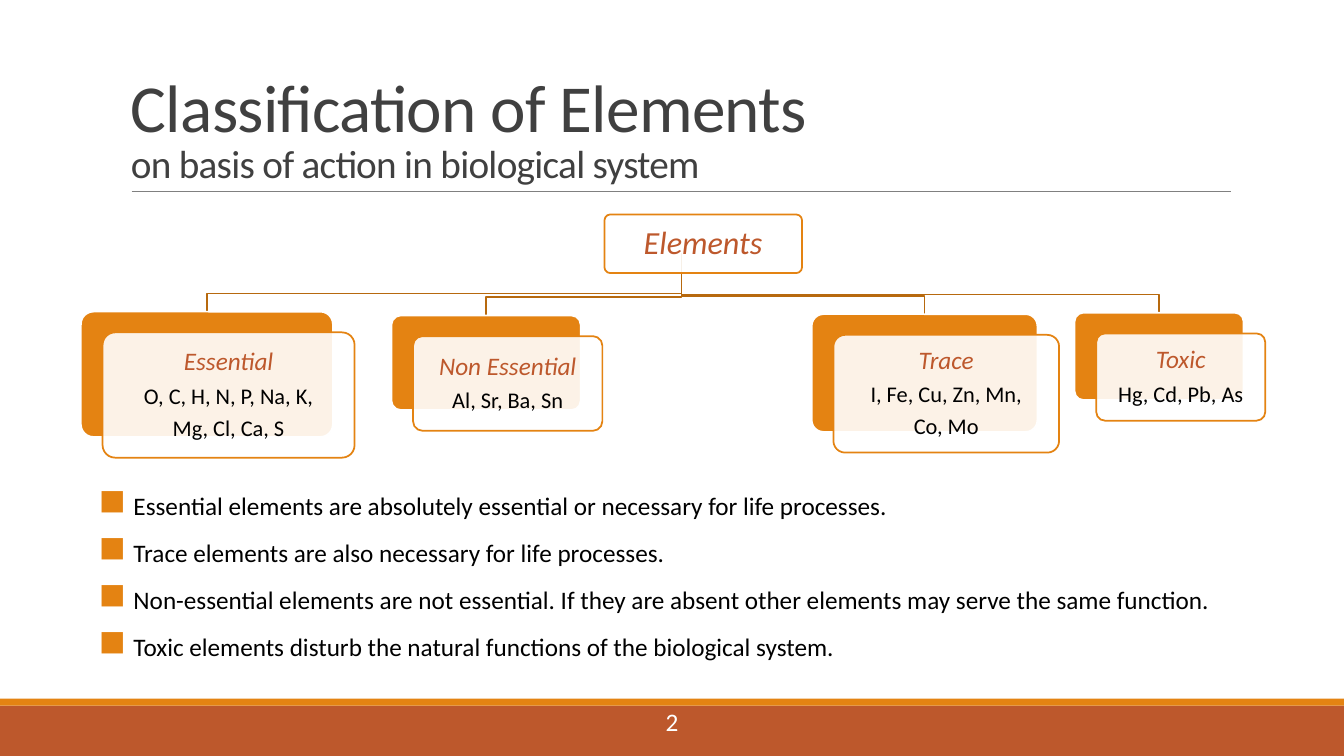
from dataclasses import dataclass
from lxml import etree
from pptx import Presentation
from pptx.dml.color import RGBColor
from pptx.enum.shapes import MSO_CONNECTOR, MSO_SHAPE
from pptx.enum.text import MSO_ANCHOR, PP_ALIGN
from pptx.oxml.ns import qn
from pptx.util import Pt

RECT, ROUND = MSO_SHAPE.RECTANGLE, MSO_SHAPE.ROUNDED_RECTANGLE
STRAIGHT = MSO_CONNECTOR.STRAIGHT
TOP, MIDDLE, BOTTOM = MSO_ANCHOR.TOP, MSO_ANCHOR.MIDDLE, MSO_ANCHOR.BOTTOM
LEFT, CENTER = PP_ALIGN.LEFT, PP_ALIGN.CENTER

COLORS = {
    "orange": "E48312", "rust": "BD582C", "branch": "B7690E", "rule": "808080",
    "title": "404040", "black": "000000", "white": "FFFFFF",
}
CARD_SHIFT = (15.5, 14.8)
ROOT = (416.3, 138.4, 141.1, 41.9)
BRANCH_DROP = 13

# left, top, width, height, inset, heading, lines of symbols
GROUPS = [
    (767.6, 223.4, 120.7, 62.3, 5, "Toxic", ["Hg, Cd, Pb, As"]),
    (579.8, 224.4, 161.2, 84.1, 5, "Trace", ["I, Fe, Cu, Zn, Mn,", "Co, Mo"]),
    (279.6, 225.3, 135.2, 67.6, 0, "Non Essential", ["Al, Sr, Ba, Sn"]),
    (57.8, 222.6, 180, 89.5, 0, "Essential",
     ["O, C, H, N, P, Na, K,", "Mg, Cl, Ca, S"]),
]
NOTES = [
    "Essential elements are absolutely essential or necessary for life processes.",
    "Trace elements are also necessary for life processes.",
    "Non-essential elements are not essential. If they are absent other elements"
    " may serve the same function.",
    "Toxic elements disturb the natural functions of the biological system.",
]


def rgb(name):
    return RGBColor.from_string(COLORS[name])


@dataclass
class Deck:
    s: object
    font: str = "Calibri"
    stroke: float = 1.25

    def shape(self, kind, box, fill=None, line=None, alpha=None):
        sp = self.s.shapes.add_shape(kind, *map(Pt, box))
        sp.shadow.inherit = False
        if kind == ROUND:
            sp.adjustments[0] = 0.1
        if fill:
            sp.fill.solid()
            sp.fill.fore_color.rgb = rgb(fill)
        else:
            sp.fill.background()
        if alpha:
            color = sp.fill._xPr.find(".//" + qn("a:srgbClr"))
            etree.SubElement(color, qn("a:alpha"), val=str(alpha * 1000))
        self.outline(sp, line)
        return sp

    def outline(self, sp, color):
        if color:
            sp.line.color.rgb = rgb(color)
            sp.line.width = Pt(self.stroke)
        else:
            sp.line.fill.background()

    def rule(self, x1, x2, y):
        line = self.s.shapes.add_connector(STRAIGHT, Pt(x1), Pt(y), Pt(x2), Pt(y))
        line.line.color.rgb = rgb("rule")
        line.line.width = Pt(0.5)
        etree.SubElement(line._element.spPr, qn("a:effectLst"))

    def branch(self, x1, y1, x2, y2):
        """Draw an elbow that bends at a fixed height above its lower end."""
        bend = y2 - BRANCH_DROP
        builder = self.s.shapes.build_freeform(Pt(x1), Pt(y1))
        builder.add_line_segments(
            [(Pt(x), Pt(y)) for x, y in ((x1, bend), (x2, bend), (x2, y2))],
            close=False)
        sp = builder.convert_to_shape()
        sp.shadow.inherit = False
        sp.fill.background()
        self.outline(sp, "branch")

    def text_box(self, box, anchor=TOP, insets=(7.2, 3.6)):
        tf = self.s.shapes.add_textbox(*map(Pt, box)).text_frame
        self.frame(tf, anchor, *insets)
        return tf

    def frame(self, tf, anchor, side, end):
        tf.word_wrap = True
        tf.vertical_anchor = anchor
        tf.margin_left = tf.margin_right = Pt(side)
        tf.margin_top = tf.margin_bottom = Pt(end)

    def paragraph(self, tf, index=0, align=LEFT, spacing=1.0, before=0, after=0):
        p = tf.add_paragraph() if index else tf.paragraphs[0]
        p.alignment = align
        p.line_spacing = spacing
        p.space_before, p.space_after = Pt(before), Pt(after)
        return p

    def run(self, p, text, size, color, italic=False):
        r = p.add_run()
        r.text = text
        r.font.name, r.font.size = self.font, Pt(size)
        r.font.italic = italic
        r.font.color.rgb = rgb(color)
        return r

    def bullet(self, p):
        pPr = p._p.get_or_add_pPr()
        pPr.set("marL", str(Pt(7.2)))
        pPr.set("indent", str(Pt(-7.2)))
        color = etree.SubElement(pPr, qn("a:buClr"))
        etree.SubElement(color, qn("a:srgbClr"), val=COLORS["orange"])
        etree.SubElement(pPr, qn("a:buFont"), typeface="Wingdings 2")
        etree.SubElement(pPr, qn("a:buChar"), char="➢")

    def card(self, box, inset, heading, size, lines=(), back=None):
        """Draw two offset boxes, the front one with a heading and its lines."""
        x, y, w, h = box
        self.shape(ROUND, box, back, "white")
        front = (x + CARD_SHIFT[0], y + CARD_SHIFT[1], w, h)
        tf = self.shape(ROUND, front, "white", "orange", alpha=90).text_frame
        self.frame(tf, MIDDLE, inset, inset)
        styled = [(heading, size, "rust", True)]
        styled += [(line, 16, "black", False) for line in lines]
        for i, style in enumerate(styled):
            p = self.paragraph(tf, i, CENTER, 0.9, after=round(0.35 * style[1], 1))
            self.run(p, *style)


def main():
    prs = Presentation()
    prs.slide_width, prs.slide_height = Pt(960), Pt(540)
    deck = Deck(prs.slides.add_slide(prs.slide_layouts[6]))

    deck.shape(RECT, (0, 504, 960, 36), "rust")
    deck.shape(RECT, (0, 499, 960, 5), "orange")
    deck.rule(94, 879, 136.8)

    p = deck.paragraph(deck.text_box((86.4, 22.6, 792, 114.2), BOTTOM), spacing=0.85)
    title = deck.run(p, "Classification of Elements", 48, "title")
    p.add_line_break()
    subtitle = deck.run(p, "on basis of action in biological system", 28, "title")
    for r in (title, subtitle):
        r.font._element.set("spc", "-50")

    root_x = ROOT[0] + ROOT[2] / 2
    root_bottom = ROOT[1] + ROOT[3]
    for x, y, w, *_ in GROUPS:
        deck.branch(root_x, root_bottom, x + w / 2, y)
    deck.card(ROOT, 7, "Elements", 23)
    for x, y, w, h, inset, heading, lines in reversed(GROUPS):
        deck.card((x, y, w, h), inset, heading, 18, lines, "orange")

    tf = deck.text_box((73.4, 349.2, 840, 131.8), insets=(0, 3.6))
    for i, note in enumerate(NOTES):
        p = deck.paragraph(tf, i, spacing=0.9, before=12, after=2)
        deck.bullet(p)
        deck.run(p, " " + note, 18, "black")

    p = deck.paragraph(deck.text_box((463.4, 501.2, 33.1, 29)), align=CENTER)
    deck.run(p, "2", 18, "white")
    prs.save("out.pptx")


if __name__ == "__main__":
    main()
